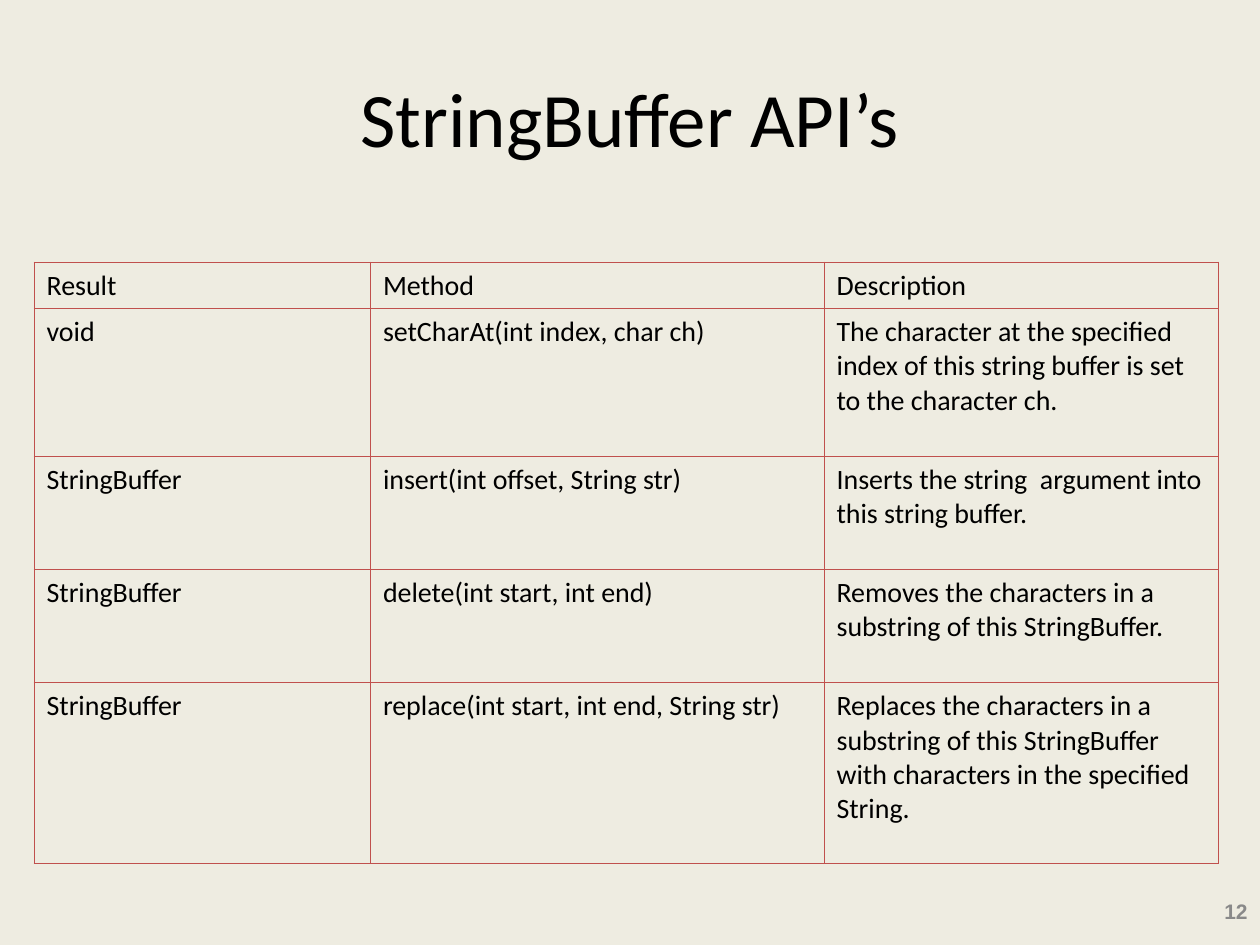
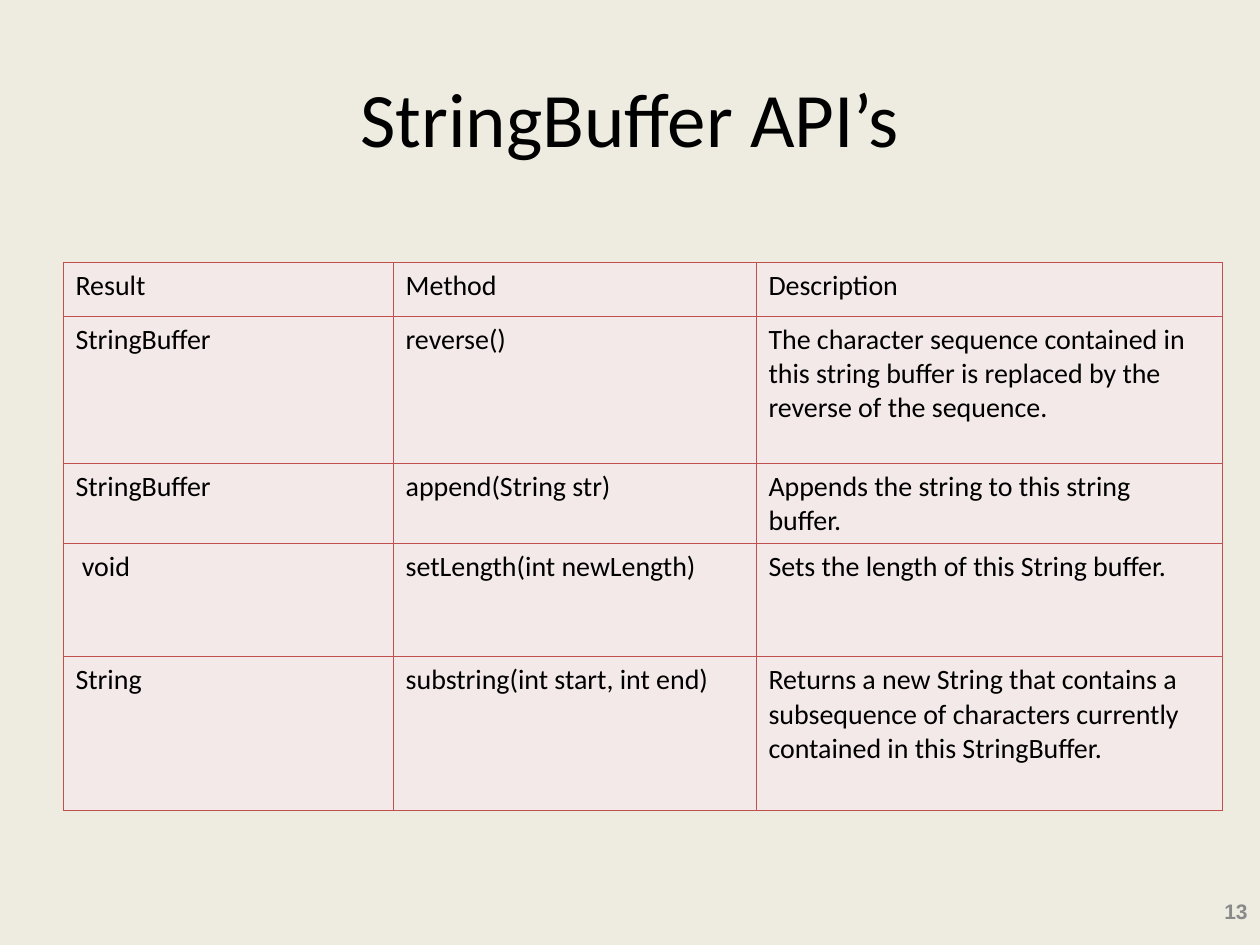
"""Build two slides that list the StringBuffer methods."""
from dataclasses import dataclass

from lxml import etree
from pptx import Presentation
from pptx.dml.color import RGBColor
from pptx.enum import text
from pptx.oxml import ns
from pptx.util import Inches, Pt


@dataclass(frozen=True)
class Theme:
    """Colours, fonts and type sizes shared by the slides."""
    background: str = "EEECE1"
    ink: str = "000000"
    muted: str = "898989"
    border: str = "C0504D"
    tint: str = "F4E9E9"
    body_font: str = "Calibri"
    number_font: str = "Arial"
    title_size: float = 44
    table_size: float = 16
    number_size: float = 12
    border_width: float = 0.45


THEME = Theme()
TITLE = "StringBuffer API’s"
TITLE_BOX = (0.5, 0.3, 9, 1.25)
NUMBER_BOX = (9.51, 7.06, 0.49, 0.35)
TABLE_TOP = 2.08
HEADER = ("Result", "Method", "Description")

EDIT_METHODS = (
    ("void", "setCharAt(int index, char ch)",
     "The character at the specified index of this string buffer is set to the character ch."),
    ("StringBuffer", "insert(int offset, String str)",
     "Inserts the string  argument into this string buffer."),
    ("StringBuffer", "delete(int start, int end)",
     "Removes the characters in a substring of this StringBuffer."),
    ("StringBuffer", "replace(int start, int end, String str)",
     "Replaces the characters in a substring of this StringBuffer "
     "with characters in the specified String."),
)
SEQUENCE_METHODS = (
    ("StringBuffer", "reverse()",
     "The character sequence contained in this string buffer "
     "is replaced by the reverse of the sequence."),
    ("StringBuffer", "append(String str)", "Appends the string to this string buffer."),
    (" void", "setLength(int newLength)", "Sets the length of this String buffer."),
    ("String", "substring(int start, int end)",
     "Returns a new String that contains a subsequence of characters "
     "currently contained in this StringBuffer."),
)


def set_text(tf, content, size, font=THEME.body_font, color=THEME.ink, bold=False, align=None):
    """Write one paragraph and format its run."""
    tf.text = content
    p = tf.paragraphs[0]
    p.alignment = align
    r = p.runs[0]
    r.font.size = Pt(size)
    r.font.name = font
    r.font.bold = bold
    r.font.color.rgb = RGBColor.from_string(color)


def add_label(s, box, content, size, **style):
    """Add a vertically centred text box."""
    tf = s.shapes.add_textbox(*map(Inches, box)).text_frame
    tf.word_wrap = True
    tf.vertical_anchor = text.MSO_ANCHOR.MIDDLE
    set_text(tf, content, size, **style)


def add_borders(cell):
    """Draw a thin line on each side of a cell."""
    tc_pr = cell._tc.get_or_add_tcPr()
    for side in "LRTB":
        ln = etree.SubElement(tc_pr, ns.qn(f"a:ln{side}"), w=str(Pt(THEME.border_width)))
        fill = etree.SubElement(ln, ns.qn("a:solidFill"))
        etree.SubElement(fill, ns.qn("a:srgbClr"), val=THEME.border)


def add_method_table(s, left, top, widths, heights, methods, fill=None):
    """Add a bordered table with a header row and one row per method."""
    rows = (HEADER, *methods)
    box = (left, top, sum(widths), sum(heights))
    table = s.shapes.add_table(len(rows), len(HEADER), *map(Inches, box)).table
    table.first_row = table.horz_banding = False
    for column, width in zip(table.columns, widths):
        column.width = Inches(width)
    for row, height, values in zip(table.rows, heights, rows):
        row.height = Inches(height)
        for cell, value in zip(row.cells, values):
            set_text(cell.text_frame, value, THEME.table_size)
            add_borders(cell)
            if fill:
                cell.fill.solid()
                cell.fill.fore_color.rgb = RGBColor.from_string(fill)
            else:
                cell.fill.background()


def add_api_slide(prs, number, left, widths, heights, methods, fill=None):
    """Add a slide with the title, a method table and the page number."""
    s = prs.slides.add_slide(prs.slide_layouts[6])
    s.background.fill.solid()
    s.background.fill.fore_color.rgb = RGBColor.from_string(THEME.background)
    add_label(s, TITLE_BOX, TITLE, THEME.title_size, align=text.PP_ALIGN.CENTER)
    add_label(s, NUMBER_BOX, str(number), THEME.number_size, font=THEME.number_font,
              color=THEME.muted, bold=True, align=text.PP_ALIGN.RIGHT)
    add_method_table(s, left, TABLE_TOP, widths, heights, methods, fill)


def main():
    """Build and save the presentation."""
    prs = Presentation()
    prs.slide_width, prs.slide_height = Inches(10), Inches(7.5)
    add_api_slide(prs, 12, 0.27, (2.67, 3.6, 3.13), (0.37, 1.17, 0.9, 0.9, 1.43), EDIT_METHODS)
    add_api_slide(prs, 13, 0.5, (2.62, 2.88, 3.7), (0.43, 1.17, 0.63, 0.9, 1.22),
                  SEQUENCE_METHODS, THEME.tint)
    prs.save("out.pptx")


if __name__ == "__main__":
    main()
